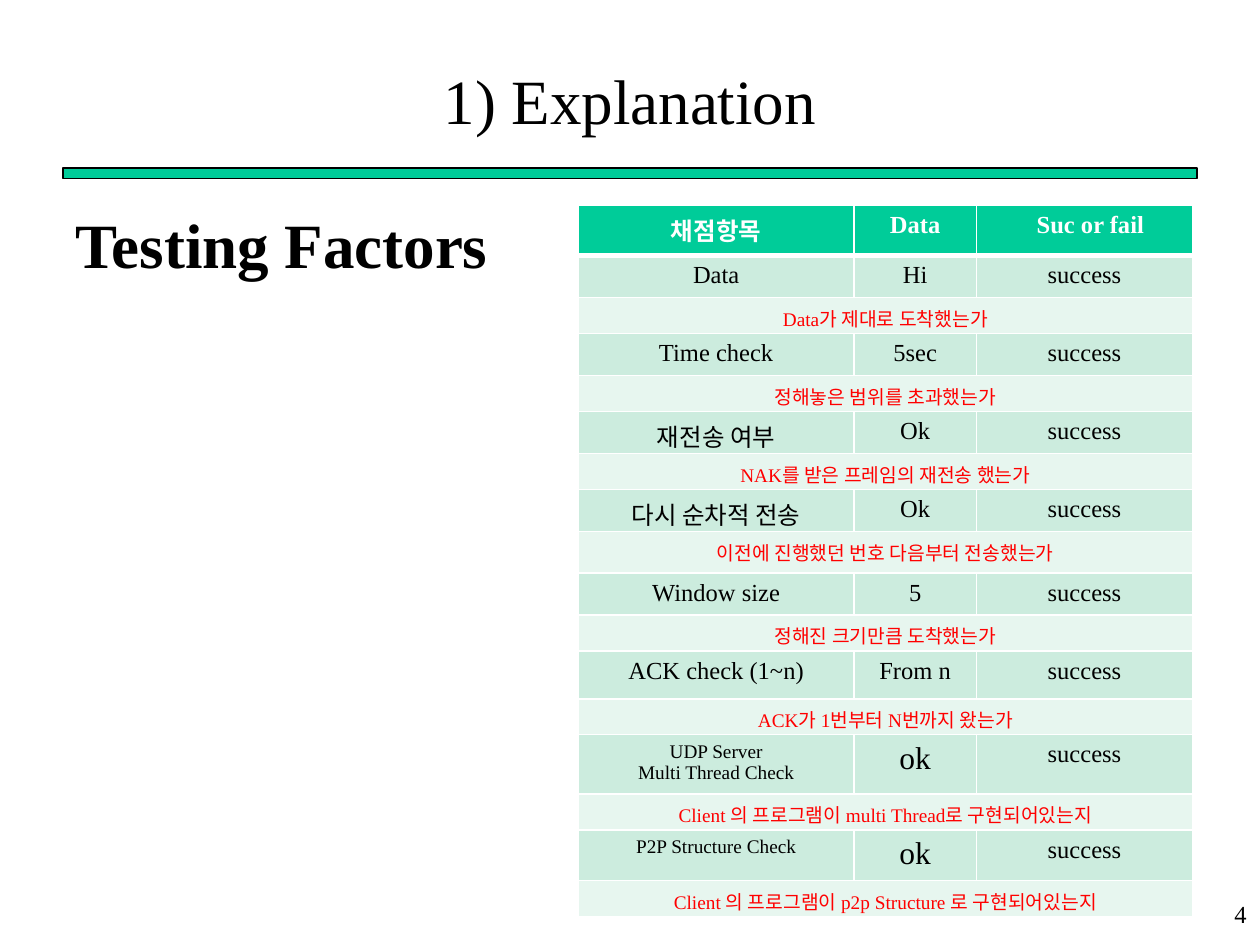
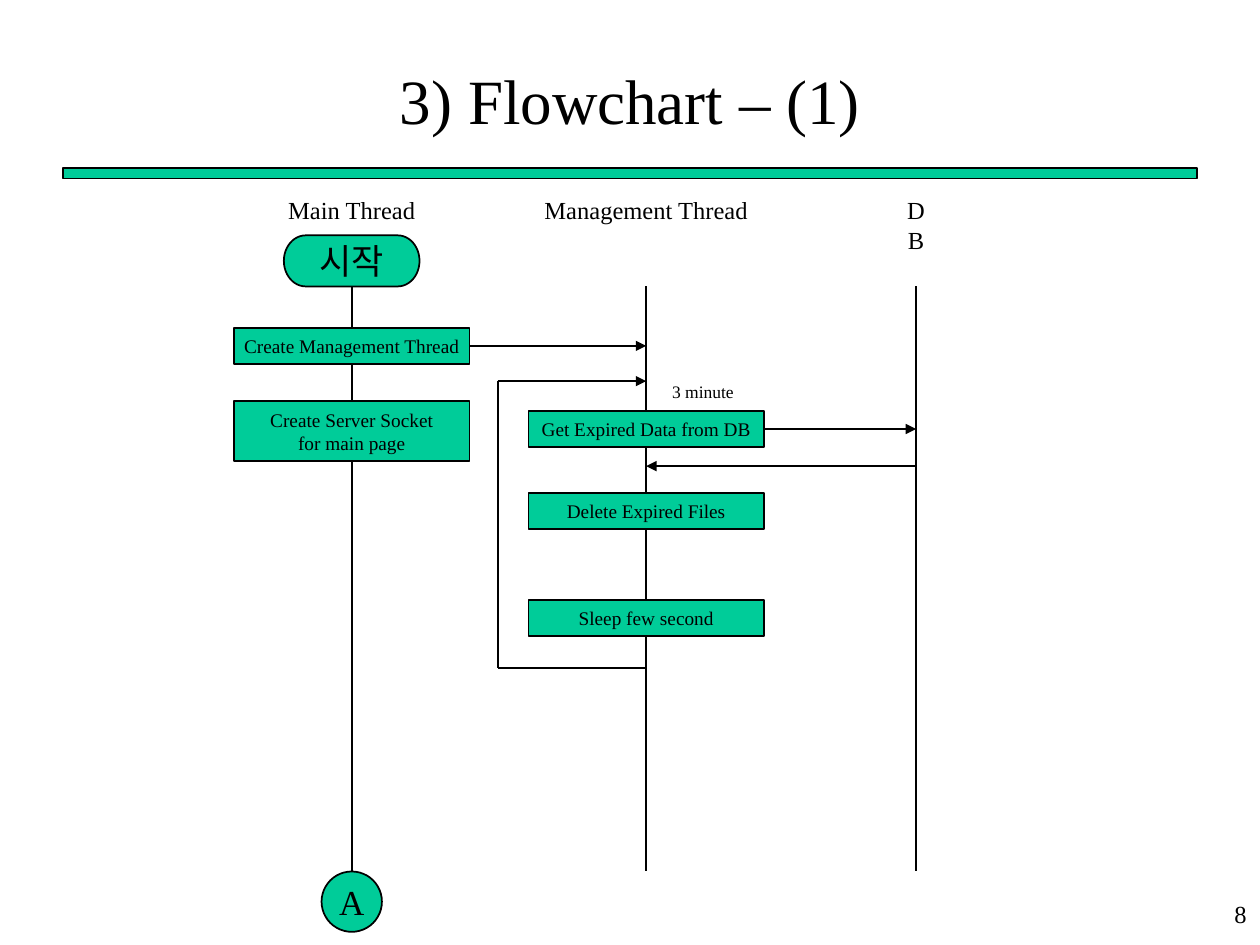
"""Build the testing-factors table slide and the thread flowchart slide."""
from lxml import etree
from pptx import Presentation
from pptx.dml.color import RGBColor
from pptx.enum import shapes, text
from pptx.oxml import ns
from pptx.util import Pt

BLACK = RGBColor(0, 0, 0)
WHITE = RGBColor(255, 255, 255)
RED = RGBColor(255, 0, 0)
GREEN = RGBColor(0x00, 0xCC, 0x99)
MINT = RGBColor(0xCC, 0xEC, 0xDE)
PALE = RGBColor(0xE7, 0xF6, 0xEF)
FONT = "Times New Roman"
SHAPE = shapes.MSO_SHAPE
LEFT, CENTER, RIGHT = text.PP_ALIGN.LEFT, text.PP_ALIGN.CENTER, text.PP_ALIGN.RIGHT


def write(tf, words, size, align=CENTER, color=BLACK, bold=False):
    tf.text = words
    for p in tf.paragraphs:
        p.alignment = align
        for r in p.runs:
            r.font.name = FONT
            r.font.size = Pt(size)
            r.font.bold = bold
            r.font.color.rgb = color


def connect(s, x1, y1, x2, y2, arrow=False):
    c = s.shapes.add_connector(shapes.MSO_CONNECTOR.STRAIGHT, Pt(x1), Pt(y1), Pt(x2), Pt(y2))
    c.line.color.rgb = BLACK
    c.line.width = Pt(1)
    if arrow:
        etree.SubElement(c.line._get_or_add_ln(), ns.qn("a:tailEnd"), type="triangle")
    etree.SubElement(c._element.spPr, ns.qn("a:effectLst"))
    return c


prs = Presentation()
prs.slide_width, prs.slide_height = Pt(720), Pt(540)

slides = []
for title, number in [("1) Explanation", "4"), ("3) Flowchart – (1)", "8")]:
    s = prs.slides.add_slide(prs.slide_layouts[6])
    band = s.shapes.add_shape(SHAPE.RECTANGLE, Pt(36), Pt(96), Pt(648), Pt(6))
    band.shadow.inherit = False
    band.fill.solid()
    band.fill.fore_color.rgb = GREEN
    band.line.color.rgb = BLACK
    band.line.width = Pt(0.75)
    tf = s.shapes.add_textbox(Pt(36), Pt(24), Pt(648), Pt(66)).text_frame
    tf.word_wrap = True
    tf.vertical_anchor = text.MSO_ANCHOR.MIDDLE
    write(tf, title, 36)
    tf = s.shapes.add_textbox(Pt(569.5), Pt(510), Pt(150), Pt(30)).text_frame
    tf.word_wrap = True
    write(tf, number, 14, RIGHT)
    slides.append(s)
testing, flowchart = slides

tf = testing.shapes.add_textbox(Pt(36), Pt(114), Pt(253), Pt(51)).text_frame
tf.word_wrap = False
write(tf, "Testing Factors", 36, LEFT, bold=True)

factors = [
    ("Data", "Hi", "Data가 제대로 도착했는가", 24, 20.5),
    ("Time check", "5sec", "정해놓은 범위를 초과했는가", 24, 20.5),
    ("재전송 여부", "Ok", "NAK를 받은 프레임의 재전송 했는가", 24, 20.5),
    ("다시 순차적 전송", "Ok", "이전에 진행했던 번호 다음부터 전송했는가", 24, 23.8),
    ("Window size", "5", "정해진 크기만큼 도착했는가", 24, 20.5),
    ("ACK check (1~n)", "From n", "ACK가 1번부터 N번까지 왔는가", 27.4, 20.5),
    ("UDP Server\nMulti Thread Check", "ok",
     "Client 의 프로그램이 multi Thread로 구현되어있는지", 34, 20.3),
    ("P2P Structure Check", "ok", "Client 의 프로그램이 p2p Structure 로 구현되어있는지", 29, 20.3),
]
rows = [(28.5, GREEN, WHITE, ["채점항목", "Data", "Suc or fail"], [14, 14, 14])]
for name, data, question, height, question_height in factors:
    sizes = [11, 18, 14] if data == "ok" else [14, 14, 14]
    rows.append((height, MINT, BLACK, [name, data, "success"], sizes))
    rows.append((question_height, PALE, RED, [question], [11]))

table = testing.shapes.add_table(len(rows), 3, Pt(330.5), Pt(117.5), Pt(351), Pt(418)).table
for col, width in zip(table.columns, (157.5, 70, 123.5)):
    col.width = Pt(width)
for i, (height, fill, color, words, sizes) in enumerate(rows):
    table.rows[i].height = Pt(height)
    if len(words) == 1:
        table.cell(i, 0).merge(table.cell(i, 2))
    for j in range(3):
        cell = table.cell(i, j)
        tcPr = cell._tc.get_or_add_tcPr()
        for side in "LRTB":
            thick = (i, side) in [(0, "B"), (1, "T")]
            ln = etree.SubElement(tcPr, ns.qn("a:ln" + side), w=str(Pt(3 if thick else 1)))
            solid = etree.SubElement(ln, ns.qn("a:solidFill"))
            etree.SubElement(solid, ns.qn("a:srgbClr"), val=str(WHITE))
        cell.fill.solid()
        cell.fill.fore_color.rgb = fill
        if j < len(words):
            write(cell.text_frame, words[j], sizes[j], color=color, bold=i == 0)
table.cell(0, 2).margin_left = Pt(14)

s = flowchart
MAIN, MANAGEMENT, DB = 201, 369.25, 523.5
TOP, BOTTOM = 163.7, 498
main_line = connect(s, MAIN, TOP, MAIN, BOTTOM)
for x in (MANAGEMENT, DB):
    connect(s, x, TOP, x, BOTTOM)

for words, x, y, width, height, size, align, wrap in [
    ("Main Thread", MAIN, 108, 87, 24.5, 14, CENTER, False),
    ("Management Thread", MANAGEMENT, 108, 140, 24.5, 14, CENTER, False),
    ("DB", DB, 108, 32.4, 24.5, 14, CENTER, True),
    ("3 minute", 402.5, 214, 51, 19.5, 10, LEFT, False),
]:
    tf = s.shapes.add_textbox(Pt(x - width / 2), Pt(y), Pt(width), Pt(height)).text_frame
    tf.word_wrap = wrap
    write(tf, words, size, align)

steps = {}
for words, kind, x, y, width, height, size in [
    ("시작", SHAPE.FLOWCHART_TERMINATOR, MAIN, 134.5, 77.5, 29.2, 20),
    ("Create Management Thread", SHAPE.RECTANGLE, MAIN, 187.3, 134.5, 20.7, 11),
    ("Create Server Socket\vfor main page", SHAPE.RECTANGLE, MAIN, 229, 134.5, 34.5, 11),
    ("Get Expired Data from DB", SHAPE.RECTANGLE, MANAGEMENT, 234.8, 134.5, 20.7, 11),
    ("Delete Expired Files", SHAPE.RECTANGLE, MANAGEMENT, 281.6, 134.5, 20.7, 11),
    ("Sleep few second", SHAPE.RECTANGLE, MANAGEMENT, 342.8, 134.5, 20.7, 11),
    ("A", SHAPE.FLOWCHART_CONNECTOR, MAIN, 498, 34.5, 34.5, 20),
]:
    sp = s.shapes.add_shape(kind, Pt(x - width / 2), Pt(y), Pt(width), Pt(height))
    sp.shadow.inherit = False
    sp.fill.solid()
    sp.fill.fore_color.rgb = GREEN
    sp.line.color.rgb = BLACK
    sp.line.width = Pt(1)
    sp.text_frame.word_wrap = False
    sp.text_frame.vertical_anchor = text.MSO_ANCHOR.MIDDLE
    write(sp.text_frame, words, size)
    steps[words] = sp
main_line.begin_connect(steps["시작"], 2)
main_line.end_connect(steps["A"], 0)

for words, y, end in [
    ("Create Management Thread", 197.65, MANAGEMENT),
    ("Get Expired Data from DB", 245.15, DB),
]:
    connect(s, end - 100, y, end, y, True).begin_connect(steps[words], 3)
connect(s, DB, 266.4, MANAGEMENT, 266.4, True)

LOOP, LOOP_TOP, LOOP_BOTTOM = 284.4, 217.8, 381.6
connect(s, MANAGEMENT, LOOP_BOTTOM, LOOP, LOOP_BOTTOM)
connect(s, LOOP, LOOP_BOTTOM, LOOP, LOOP_TOP)
connect(s, LOOP, LOOP_TOP, MANAGEMENT, LOOP_TOP, True)

prs.save("out.pptx")
